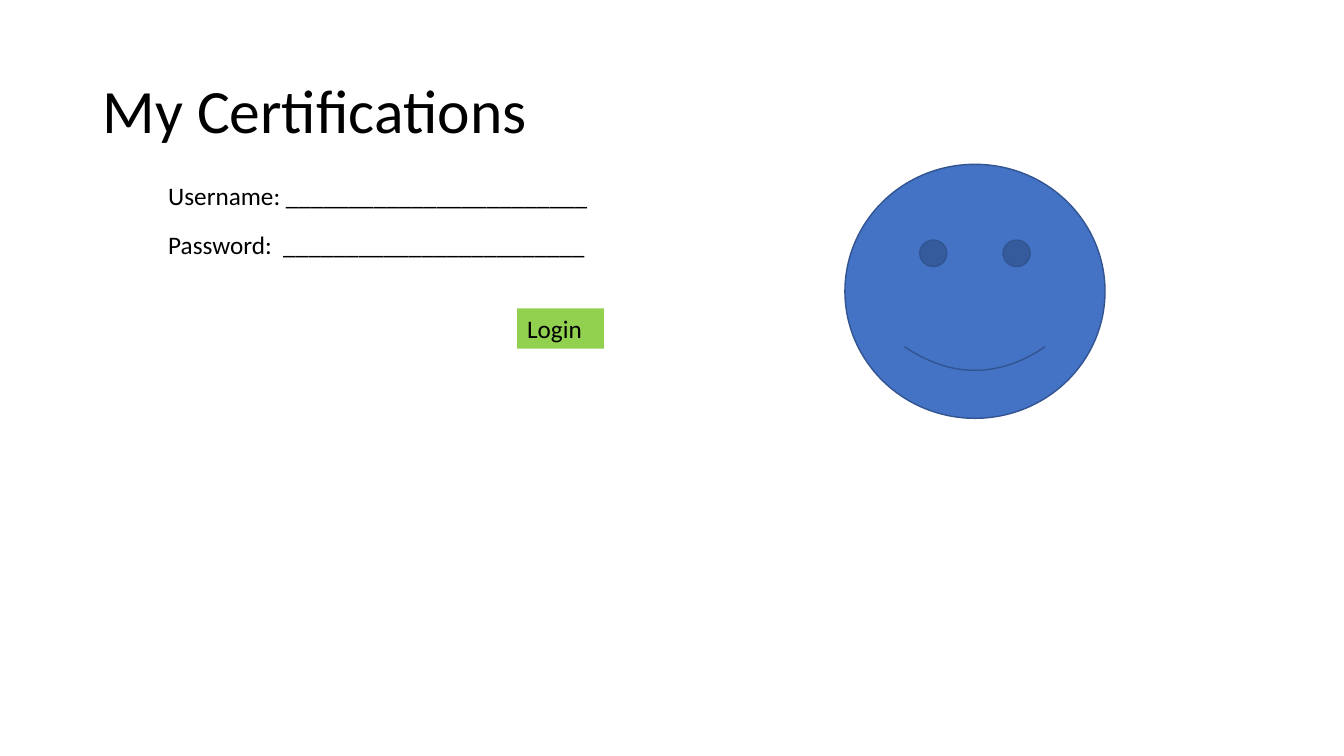
from dataclasses import dataclass

from pptx import Presentation
from pptx import util as u
from pptx.dml.color import RGBColor
from pptx.enum import shapes, text


@dataclass(frozen=True)
class Theme:
    font: str = "Calibri"
    ink: str = "000000"
    button: str = "92D050"
    face: str = "4472C4"
    face_line: str = "325491"
    title_size: int = 44
    body_size: int = 18


THEME = Theme()


def inches(*lengths):
    return [u.Inches(length) for length in lengths]


def write(holder, words, size, **frame_format):
    """Put one left-aligned line of text into a shape or text box."""
    frame = holder.text_frame
    settings = {"word_wrap": True, "vertical_anchor": text.MSO_ANCHOR.TOP}
    for name, value in {**settings, **frame_format}.items():
        setattr(frame, name, value)
    line = frame.paragraphs[0]
    line.alignment = text.PP_ALIGN.LEFT
    run = line.add_run()
    run.text = words
    for name, value in {"name": THEME.font, "size": u.Pt(size)}.items():
        setattr(run.font, name, value)
    run.font.color.rgb = RGBColor.from_string(THEME.ink)
    return line


def add_filled(slide, kind, box, fill):
    shape = slide.shapes.add_shape(kind, *inches(*box))
    shape.shadow.inherit = False
    shape.fill.solid()
    shape.fill.fore_color.rgb = RGBColor.from_string(fill)
    return shape


def add_title(slide, box):
    heading = slide.shapes.add_textbox(*inches(*box))
    line = write(heading, "My Certifications", THEME.title_size,
                 vertical_anchor=text.MSO_ANCHOR.MIDDLE)
    line.line_spacing = 0.9


def add_login_form(slide, box):
    left, top, width, height = box
    row_height, row_step = 0.4, 0.49
    blank = "_" * 24

    # Entry fields
    for row, label in enumerate(("Username:", "Password: ")):
        field = slide.shapes.add_textbox(
            *inches(left, top + row * row_step, width, row_height))
        write(field, f"{label} {blank}", THEME.body_size,
              auto_size=text.MSO_AUTO_SIZE.SHAPE_TO_FIT_TEXT)

    # Login button, at the foot of the form
    button_box = (left + 3.56, top + height - row_height, 0.86, row_height)
    login = add_filled(slide, shapes.MSO_SHAPE.RECTANGLE, button_box, THEME.button)
    login.line.fill.background()
    write(login, "Login", THEME.body_size,
          auto_size=text.MSO_AUTO_SIZE.SHAPE_TO_FIT_TEXT)


def add_smiley(slide, box):
    smiley = add_filled(slide, shapes.MSO_SHAPE.SMILEY_FACE, box, THEME.face)
    smiley.line.color.rgb = RGBColor.from_string(THEME.face_line)
    smiley.line.width = u.Pt(1)


def main():
    deck = Presentation()
    deck.slide_width, deck.slide_height = inches(13.33, 7.5)
    slide = deck.slides.add_slide(deck.slide_layouts[6])

    add_title(slide, (0.92, 0.4, 11.5, 1.45))
    add_login_form(slide, (1.57, 1.74, 4.68, 1.72))
    add_smiley(slide, (8.38, 1.63, 2.58, 2.52))

    deck.save("out.pptx")


if __name__ == "__main__":
    main()
